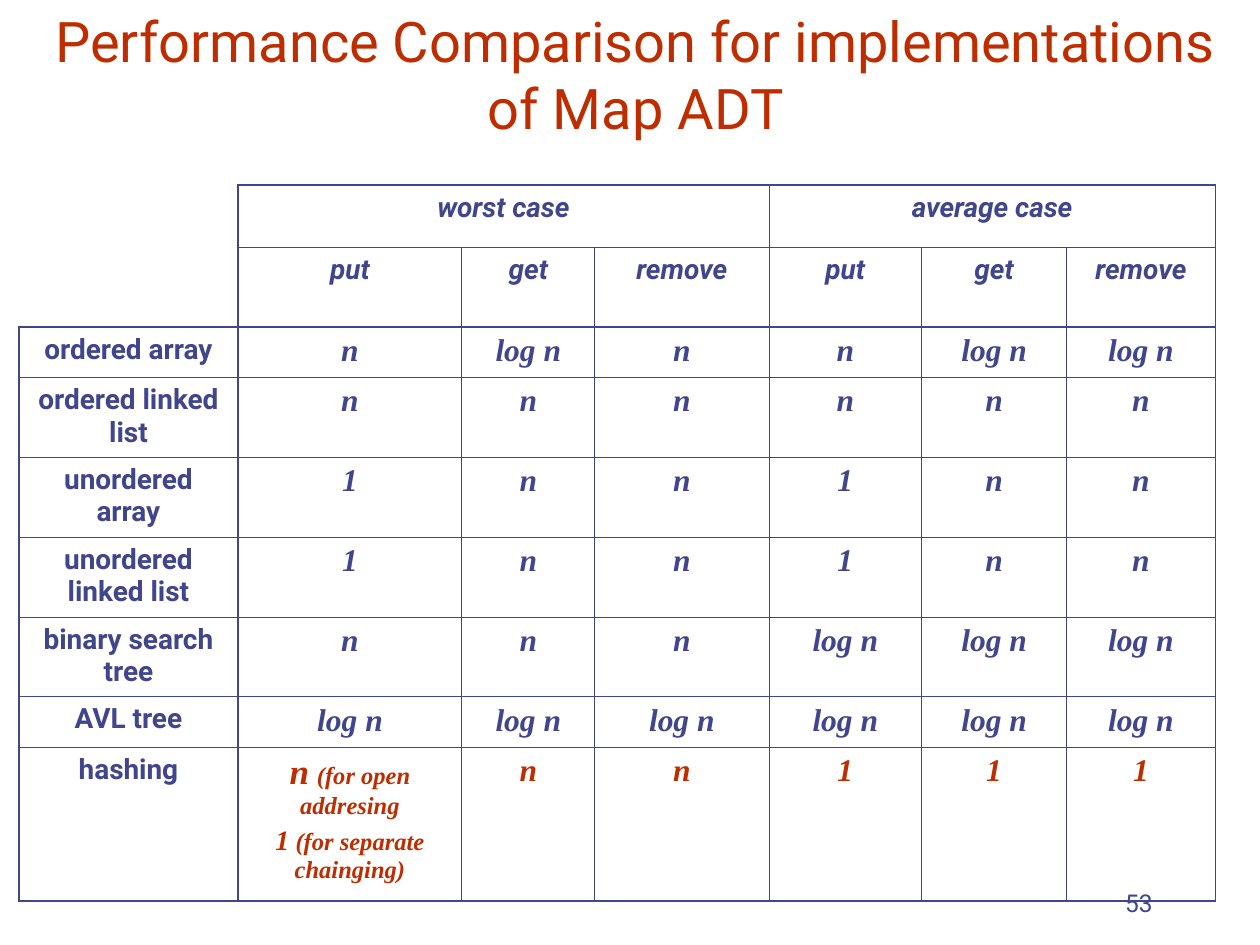
from dataclasses import dataclass

from lxml.etree import SubElement
from pptx import Presentation
from pptx.dml.color import RGBColor
from pptx.enum.text import MSO_ANCHOR, PP_ALIGN
from pptx.oxml.ns import qn
from pptx.util import Cm, Pt

# Content
TITLE = "Performance Comparison for implementations of Map ADT"
PAGE_NUMBER = "53"
CASES = ["worst case", "average case"]
OPERATIONS = ["put", "get", "remove"]
COSTS = [
    ("ordered array", ["n", "log n", "n", "n", "log n", "log n"]),
    ("ordered linked list", ["n"] * 6),
    ("unordered array", ["1", "n", "n"] * 2),
    ("unordered linked list", ["1", "n", "n"] * 2),
    ("binary search tree", ["n"] * 3 + ["log n"] * 3),
    ("AVL tree", ["log n"] * 6),
    ("hashing", [None, "n", "n", "1", "1", "1"]),
]
# Each paragraph is a list of (text, size)
HASHING_PUT = [
    [("n", 20), (" ", 18), ("(for open addresing", 14)],
    [("1", 16), (" (for separate chainging)", 14)],
]

# Layout in centimetres
TABLE_LEFT, TABLE_TOP = 0.38, 3.73
COLUMN_WIDTHS = [4.42, 4.51, 2.68, 3.51, 3.08, 2.92, 3.0]
ROW_HEIGHTS = [1.25, 1.61, 1.01, 1.61, 1.61, 1.61, 1.61, 1.01, 3.1]
HEADER_ROWS = 2
NO_STYLE = "{2D5ABB26-0587-4C30-8999-92F81FD0307C}"


@dataclass(frozen=True)
class Theme:
    accent: str = "BE2D00"
    ink: str = "40458C"
    sans: str = "Roboto"
    serif: str = "Times New Roman"
    title: float = 32
    label: float = 16
    cost: float = 18
    number: float = 14
    thin: float = 0.45
    thick: float = 1.08


THEME = Theme()


def style(para, font, size, color, bold=False, italic=False,
          align=PP_ALIGN.CENTER, before=0):
    para.alignment = align
    para.space_before = Pt(before)
    for span in para.runs:
        span.font.name = font
        span.font.size = Pt(size)
        span.font.color.rgb = RGBColor.from_string(color)
        span.font.bold = bold
        span.font.italic = italic


def add_text(page, text, left, top, width, height, **look):
    box = page.shapes.add_textbox(Cm(left), Cm(top), Cm(width), Cm(height))
    frame = box.text_frame
    frame.word_wrap = True
    frame.vertical_anchor = MSO_ANCHOR.BOTTOM
    frame.text = text
    style(frame.paragraphs[0], font=THEME.sans, **look)


def fill_label(cell, text, italic=False):
    cell.text_frame.text = text
    style(cell.text_frame.paragraphs[0], THEME.sans, THEME.label, THEME.ink,
          bold=True, italic=italic, before=4)


def fill_cost(cell, text, color):
    cell.text_frame.text = text
    style(cell.text_frame.paragraphs[0], THEME.serif, THEME.cost, color,
          bold=True, italic=True, before=4.5)


def fill_mixed(cell, paragraphs):
    frame = cell.text_frame
    for index, pieces in enumerate(paragraphs):
        para = frame.add_paragraph() if index else frame.paragraphs[0]
        for text, _ in pieces:
            para.add_run().text = text
        style(para, THEME.serif, THEME.label, THEME.accent,
              bold=True, italic=True, before=3.5)
        for span, (_, size) in zip(para.runs, pieces):
            span.font.size = Pt(size)


def set_border(cell, side, width):
    line = SubElement(cell._tc.get_or_add_tcPr(), qn(f"a:{side}"))
    line.set("w", str(Pt(width)))
    if width:
        fill = SubElement(line, qn("a:solidFill"))
        SubElement(fill, qn("a:srgbClr")).set("val", THEME.ink)
    else:
        SubElement(line, qn("a:noFill"))


def rule_cell(cell, row, column):
    """Thick rules frame the header, the labels and the body; the corner is open."""
    def weight(position, heavy):
        return THEME.thick if position in heavy else THEME.thin

    right = column + (cell.span_width if cell.is_merge_origin else 1)
    vertical = (0, 1, len(COLUMN_WIDTHS))
    horizontal = (0, HEADER_ROWS, len(ROW_HEIGHTS))
    widths = {
        "lnL": weight(column, vertical),
        "lnR": weight(right, vertical),
        "lnT": weight(row, horizontal),
        "lnB": weight(row + 1, horizontal),
    }
    if column == 0 and row < HEADER_ROWS:
        widths["lnL"] = widths["lnT"] = 0
        if row + 1 < HEADER_ROWS:
            widths["lnB"] = 0
    for side, width in widths.items():
        set_border(cell, side, width)


def add_cost_table(page):
    frame = page.shapes.add_table(
        len(ROW_HEIGHTS), len(COLUMN_WIDTHS), Cm(TABLE_LEFT), Cm(TABLE_TOP),
        Cm(sum(COLUMN_WIDTHS)), Cm(sum(ROW_HEIGHTS)))
    table = frame.table
    table.first_row = table.horz_banding = False
    table._tbl.tblPr.find(qn("a:tableStyleId")).text = NO_STYLE
    for column, width in zip(table.columns, COLUMN_WIDTHS):
        column.width = Cm(width)
    for row, height in zip(table.rows, ROW_HEIGHTS):
        row.height = Cm(height)

    # Header
    group = len(OPERATIONS)
    for index, case in enumerate(CASES):
        first = 1 + index * group
        table.cell(0, first).merge(table.cell(0, first + group - 1))
        fill_label(table.cell(0, first), case, italic=True)
        for offset, operation in enumerate(OPERATIONS):
            fill_label(table.cell(1, first + offset), operation, italic=True)

    # Body, with hashing highlighted
    for row, (name, costs) in enumerate(COSTS, HEADER_ROWS):
        fill_label(table.cell(row, 0), name)
        color = THEME.accent if name == "hashing" else THEME.ink
        for column, cost in enumerate(costs, 1):
            if cost is None:
                fill_mixed(table.cell(row, column), HASHING_PUT)
            else:
                fill_cost(table.cell(row, column), cost, color)

    # Rules, then clear fills
    for row in range(len(ROW_HEIGHTS)):
        for column in range(len(COLUMN_WIDTHS)):
            cell = table.cell(row, column)
            if not cell.is_spanned:
                rule_cell(cell, row, column)
            cell.fill.background()


def main():
    deck = Presentation()
    deck.slide_width, deck.slide_height = Cm(25.4), Cm(19.05)
    page = deck.slides.add_slide(deck.slide_layouts[6])
    add_text(page, TITLE, 0.43, 0, 24.77, 2.97,
             size=THEME.title, color=THEME.accent)
    add_text(page, PAGE_NUMBER, 18.21, 17.35, 5.28, 1.27,
             size=THEME.number, color=THEME.ink, align=PP_ALIGN.RIGHT)
    add_cost_table(page)
    deck.save("out.pptx")


if __name__ == "__main__":
    main()
